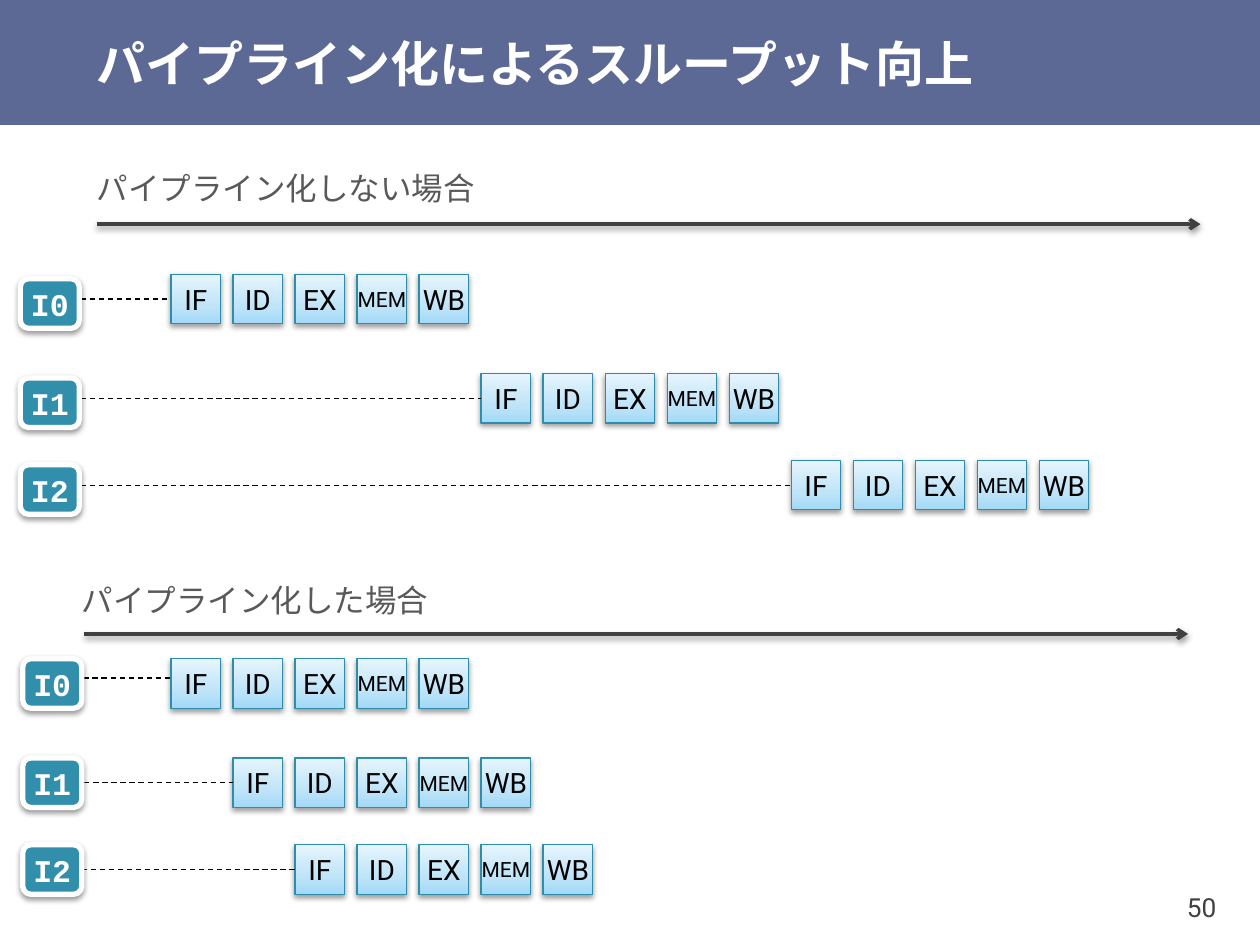
from copy import deepcopy

from lxml import etree
from pptx import Presentation
from pptx.dml.color import RGBColor
from pptx.enum.dml import MSO_LINE
from pptx.enum.shapes import MSO_CONNECTOR, MSO_SHAPE
from pptx.enum.text import MSO_ANCHOR, PP_ALIGN
from pptx.oxml.ns import qn
from pptx.util import Cm, Pt

RECT, ROUND = MSO_SHAPE.RECTANGLE, MSO_SHAPE.ROUNDED_RECTANGLE
LINE, DASH = MSO_CONNECTOR.STRAIGHT, MSO_LINE.DASH
LEFT, MID, RIGHT = PP_ALIGN.LEFT, PP_ALIGN.CENTER, PP_ALIGN.RIGHT
TOP, CENTER = MSO_ANCHOR.TOP, MSO_ANCHOR.MIDDLE

TITLE = "パイプライン化によるスループット向上"
PAGE = "50"
STAGES = [("IF", 16), ("ID", 16), ("EX", 16), ("MEM", 12), ("WB", 16)]
NAMES = ["I0", "I1", "I2"]
DROPS = [0, 2, 3.75]
CASES = [
    dict(text="パイプライン化しない場合", cap=(1.7, 3.28, 8.2), axis=(1.95, 4.52),
         top=5.53, step=5, tag=(0.41, 0.09),
         leads=[(1.45, 0), (1.45, 0), (1.45, 0)]),
    dict(text="パイプライン化した場合", cap=(1.4, 11.58, 7.57), axis=(1.7, 12.78),
         top=13.28, step=1, tag=(0.46, 0),
         leads=[(1.5, 0.11), (1.7, 0), (1.65, 0)]),
]
GRAD = [(0, "A2D9F7"), (0.35, "BFE4F8"), (1, "E6F5FD")]
START, PITCH, SIDE, SPAN = 3.45, 1.25, 1, 22.25


def color(code):
    return RGBColor.from_string(code)


def write(shape, text, size, code, font="Roboto", bold=False,
          align=LEFT, anchor=TOP, wrap=False):
    frame = shape.text_frame
    frame.text = text
    frame.word_wrap = wrap
    frame.vertical_anchor = anchor
    para = frame.paragraphs[0]
    para.alignment = align
    face = para.runs[0].font
    face.name, face.size, face.bold = font, Pt(size), bold
    face.color.rgb = color(code)


def label(x, y, w, h, *args, **opts):
    box = slide.shapes.add_textbox(Cm(x), Cm(y), Cm(w), Cm(h))
    write(box, *args, **opts)
    return box


def stroke(shape, code, width):
    shape.line.color.rgb = color(code)
    shape.line.width = Pt(width)


def effect(shape, shade=True):
    holder = etree.SubElement(shape._element.spPr, qn("a:effectLst"))
    if shade:
        cast = etree.SubElement(holder, qn("a:outerShdw"), blurRad="40000",
                                dist="20000", dir="5400000", rotWithShape="0")
        tint = etree.SubElement(cast, qn("a:srgbClr"), val="000000")
        etree.SubElement(tint, qn("a:alpha"), val="38000")


def blend(shape):
    fill = shape.fill
    fill.gradient()
    fill.gradient_angle = 90
    stops = shape._element.spPr.find(".//" + qn("a:gsLst"))
    stops.insert(1, deepcopy(stops[0]))
    for stop, (pos, code) in zip(fill.gradient_stops, GRAD):
        stop.position = pos
        stop.color.rgb = color(code)


def rule(x, y, end, code, width):
    line = slide.shapes.add_connector(LINE, Cm(x), Cm(y), Cm(end), Cm(y))
    stroke(line, code, width)
    return line


def chain(x, y):
    group = slide.shapes.add_group_shape()
    boxes = []
    for i, (text, size) in enumerate(STAGES):
        box = group.shapes.add_shape(RECT, Cm(x + i * PITCH), Cm(y), Cm(SIDE), Cm(SIDE))
        blend(box)
        stroke(box, "2E8DAB", 0.75)
        effect(box)
        write(box, text, size, "000000", align=MID, anchor=CENTER)
        boxes.append(box)
    return boxes[0]


def row(case, i):
    x = START + i * case["step"] * PITCH
    y = case["top"] + DROPS[i]
    first = chain(x, y)
    lead, lift = case["leads"][i]
    line = rule(lead, y + SIDE / 2 - lift, x, "000000", 0.75)
    line.line.dash_style = DASH
    effect(line, False)
    if not lift:
        line.end_connect(first, 1)
    left, drop = case["tag"]
    tag = slide.shapes.add_shape(ROUND, Cm(left), Cm(y + drop), Cm(1.19), Cm(1))
    tag.fill.solid()
    tag.fill.fore_color.rgb = color("328FAC")
    stroke(tag, "FFFFFF", 3)
    effect(tag)
    write(tag, NAMES[i], 18, "FFFFFF", "Courier New", True, MID, CENTER)


deck = Presentation()
deck.slide_width, deck.slide_height = Cm(25.4), Cm(19.05)
slide = deck.slides.add_slide(deck.slide_layouts[6])

band = slide.shapes.add_shape(RECT, 0, 0, Cm(25.4), Cm(2.52))
band.fill.solid()
band.fill.fore_color.rgb = color("5C6994")
band.line.fill.background()
band.shadow.inherit = False
head = label(1.7, 0, 23.7, 2.52, TITLE, 28, "FFFFFF", bold=True, anchor=CENTER, wrap=True)
head.text_frame.margin_top = head.text_frame.margin_bottom = 0
page = label(22.7, 17.52, 2, 1.52, PAGE, 15, "404040", align=RIGHT, anchor=CENTER, wrap=True)
page.text_frame.margin_right = Cm(0.18)

for case in CASES:
    x, y, w = case["cap"]
    label(x, y, w, 1.02, case["text"], 18, "595959")
    x, y = case["axis"]
    axis = rule(x, y, x + SPAN, "404040", 2)
    etree.SubElement(axis.line._get_or_add_ln(), qn("a:tailEnd"), type="arrow")
    effect(axis)
    for i in range(len(NAMES)):
        row(case, i)

deck.save("out.pptx")
